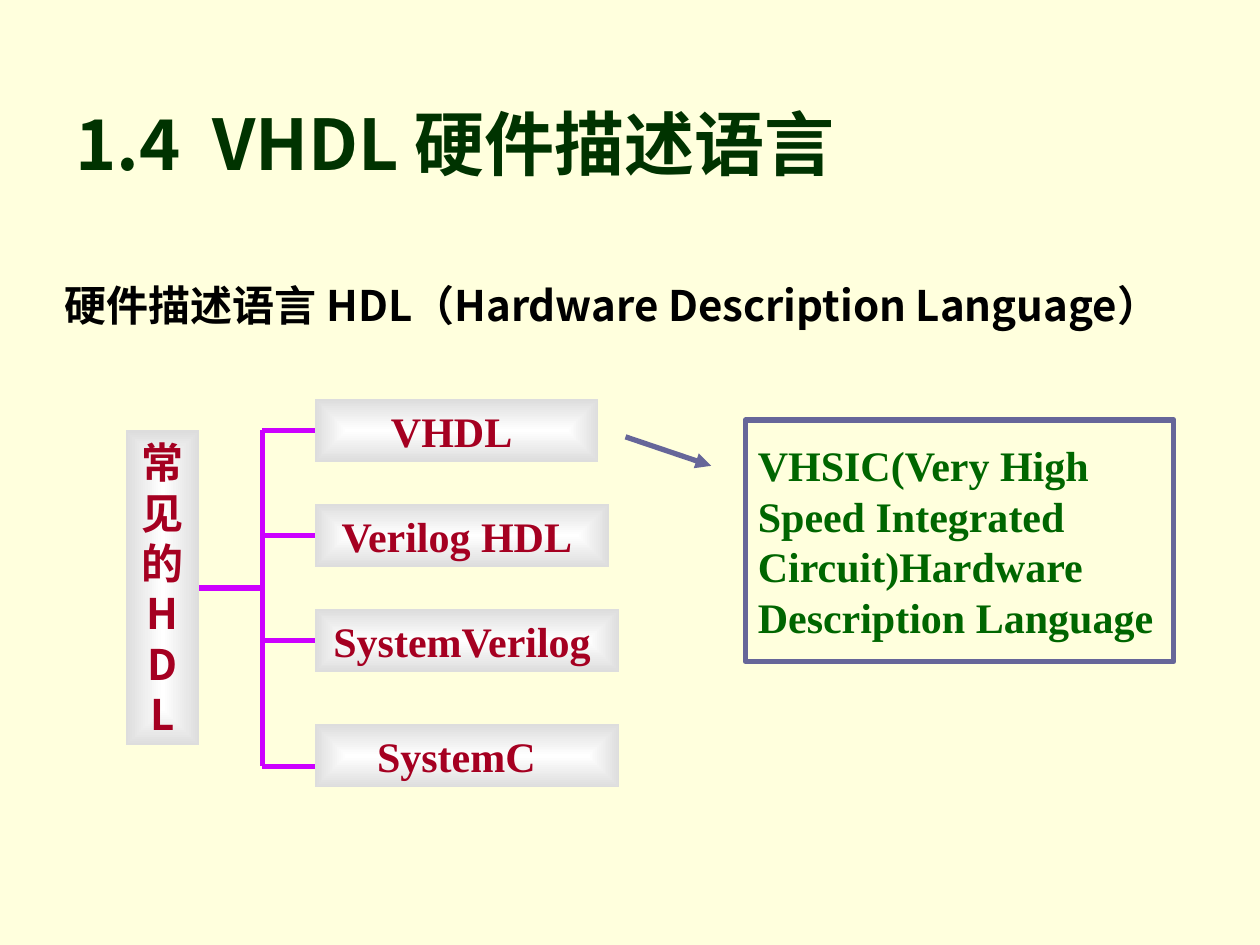
from dataclasses import dataclass

from pptx import Presentation
from pptx.dml.color import RGBColor
from pptx.enum.shapes import MSO_CONNECTOR, MSO_SHAPE
from pptx.enum.text import MSO_ANCHOR, PP_ALIGN
from pptx.oxml import parse_xml
from pptx.oxml.ns import nsdecls
from pptx.oxml.xmlchemy import OxmlElement
from pptx.util import Inches, Length, Pt

CREAM = RGBColor(0xFF, 0xFF, 0xDD)
DARK_GREEN = RGBColor(0x00, 0x33, 0x00)
GREEN = RGBColor(0x00, 0x66, 0x00)
BLACK = RGBColor(0x00, 0x00, 0x00)
CRIMSON = RGBColor(0xA5, 0x00, 0x21)
VIOLET = RGBColor(0xCC, 0x00, 0xFF)
SLATE = RGBColor(0x66, 0x66, 0x99)
WHITE = RGBColor(0xFF, 0xFF, 0xFF)
SILVER = RGBColor(0xDD, 0xDD, 0xDD)

SANS = "Noto Sans CJK SC"
SERIF = "Times New Roman"

CELLS_PER_INCH = 12
LINE_WIDTH = Pt(3)
SPINE_COLUMN = 25
BRANCH_COLUMN = 30


@dataclass(frozen=True)
class Area:
    column: float
    row: float
    columns: float
    rows: float

    def lengths(self) -> list[Length]:
        return [cells(n) for n in (self.column, self.row, self.columns, self.rows)]


@dataclass(frozen=True)
class Language:
    name: str
    row: int
    columns: int
    branch_row: int
    right_inset: float = 0.18


LANGUAGES = [
    Language("VHDL", 38, 27, 41),
    Language("Verilog HDL", 48, 28, 51),
    Language("SystemVerilog", 58, 29, 61),
    Language("SystemC", 69, 29, 73, 0.27),
]


def cells(count: float) -> Length:
    return Inches(count / CELLS_PER_INCH)


def write(shape, text: str, font_name: str, color: RGBColor, size: int = 24,
          align=PP_ALIGN.LEFT, anchor=MSO_ANCHOR.TOP, right_inset: float = 0.1) -> None:
    frame = shape.text_frame
    frame.word_wrap = True
    frame.vertical_anchor = anchor
    frame.margin_right = Inches(right_inset)
    para = frame.paragraphs[0]
    para.text = text
    para.alignment = align
    font = para.font
    font.name, font.size, font.bold = font_name, Pt(size), True
    font.color.rgb = color
    east_asian = OxmlElement("a:ea")
    east_asian.set("typeface", font_name)
    para._p.pPr.find(".//{*}latin").addnext(east_asian)


def add_text(page, area: Area, text: str, color: RGBColor, size: int) -> None:
    write(page.shapes.add_textbox(*area.lengths()), text, SANS, color, size)


def add_node(page, area: Area, text: str, font_name: str, right_inset: float = 0.1) -> None:
    """Draw a borderless box shaded from a white centre to silver edges."""
    box = page.shapes.add_shape(MSO_SHAPE.RECTANGLE, *area.lengths())
    box.shadow.inherit = False
    box.line.fill.background()
    box._element.spPr.find("{*}prstGeom").addnext(parse_xml(
        f'<a:gradFill {nsdecls("a")} rotWithShape="1"><a:gsLst>'
        f'<a:gs pos="0"><a:srgbClr val="{WHITE}"/></a:gs>'
        f'<a:gs pos="100000"><a:srgbClr val="{SILVER}"/></a:gs></a:gsLst>'
        '<a:path path="rect"><a:fillToRect l="50000" t="50000" r="50000" b="50000"/>'
        '</a:path></a:gradFill>'))
    write(box, text, font_name, CRIMSON, align=PP_ALIGN.CENTER, right_inset=right_inset)


def add_line(page, column: float, row: float, end_column: float, end_row: float) -> None:
    ends = [cells(n) for n in (column, row, end_column, end_row)]
    line = page.shapes.add_connector(MSO_CONNECTOR.STRAIGHT, *ends)
    line.line.color.rgb = VIOLET
    line.line.width = LINE_WIDTH
    line._element.spPr.append(OxmlElement("a:effectLst"))


def add_callout(page, area: Area, text: str) -> None:
    callout = page.shapes.add_shape(MSO_SHAPE.LINE_CALLOUT_1, *area.lengths())
    callout.shadow.inherit = False
    for index, share in enumerate((0.19, -0.08, 0.07, -0.28)):
        callout.adjustments[index] = share
    callout.fill.background()
    callout.line.color.rgb = SLATE
    callout.line.width = LINE_WIDTH
    arrowhead = OxmlElement("a:headEnd")
    arrowhead.set("type", "triangle")
    callout.line._get_or_add_ln().append(arrowhead)
    write(callout, text, SERIF, GREEN, anchor=MSO_ANCHOR.MIDDLE)


def main() -> None:
    deck = Presentation()
    deck.slide_width, deck.slide_height = Inches(10), Inches(7.5)
    page = deck.slides.add_slide(deck.slide_layouts[6])
    page.background.fill.solid()
    page.background.fill.fore_color.rgb = CREAM

    add_text(page, Area(6, 9, 97, 9.25), "1.4  VHDL 硬件描述语言", DARK_GREEN, 40)
    add_text(page, Area(5, 26, 110, 10.8),
             "硬件描述语言 HDL（Hardware Description Language）", BLACK, 24)

    add_node(page, Area(12, 41, 7, 30), "常见的HDL", SANS)
    for language in LANGUAGES:
        add_node(page, Area(BRANCH_COLUMN, language.row, language.columns, 6),
                 language.name, SERIF, language.right_inset)
        add_line(page, SPINE_COLUMN, language.branch_row, BRANCH_COLUMN, language.branch_row)
    add_line(page, SPINE_COLUMN, LANGUAGES[0].branch_row,
             SPINE_COLUMN, LANGUAGES[-1].branch_row)
    add_line(page, 19, 56, SPINE_COLUMN, 56)

    add_callout(page, Area(71, 40, 40.8, 23),
                "VHSIC(Very High Speed Integrated Circuit)Hardware Description Language")
    deck.save("out.pptx")


if __name__ == "__main__":
    main()
